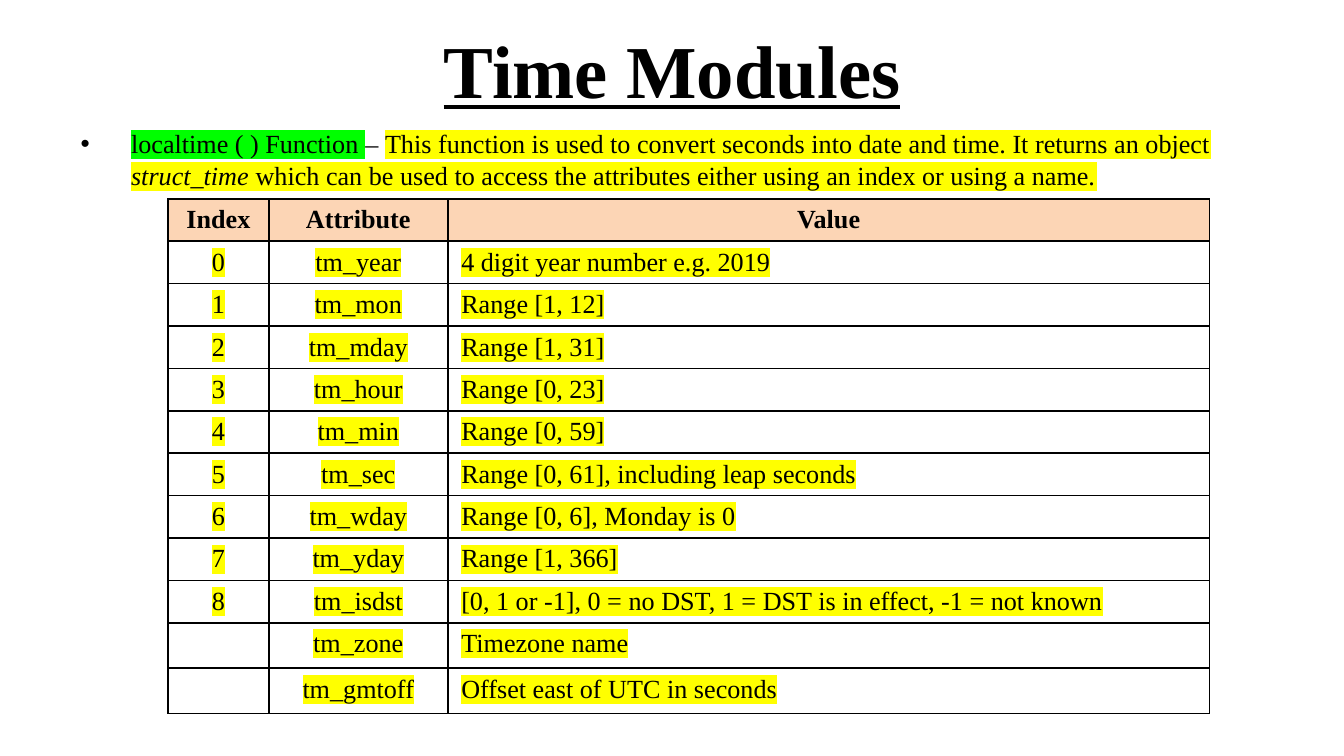
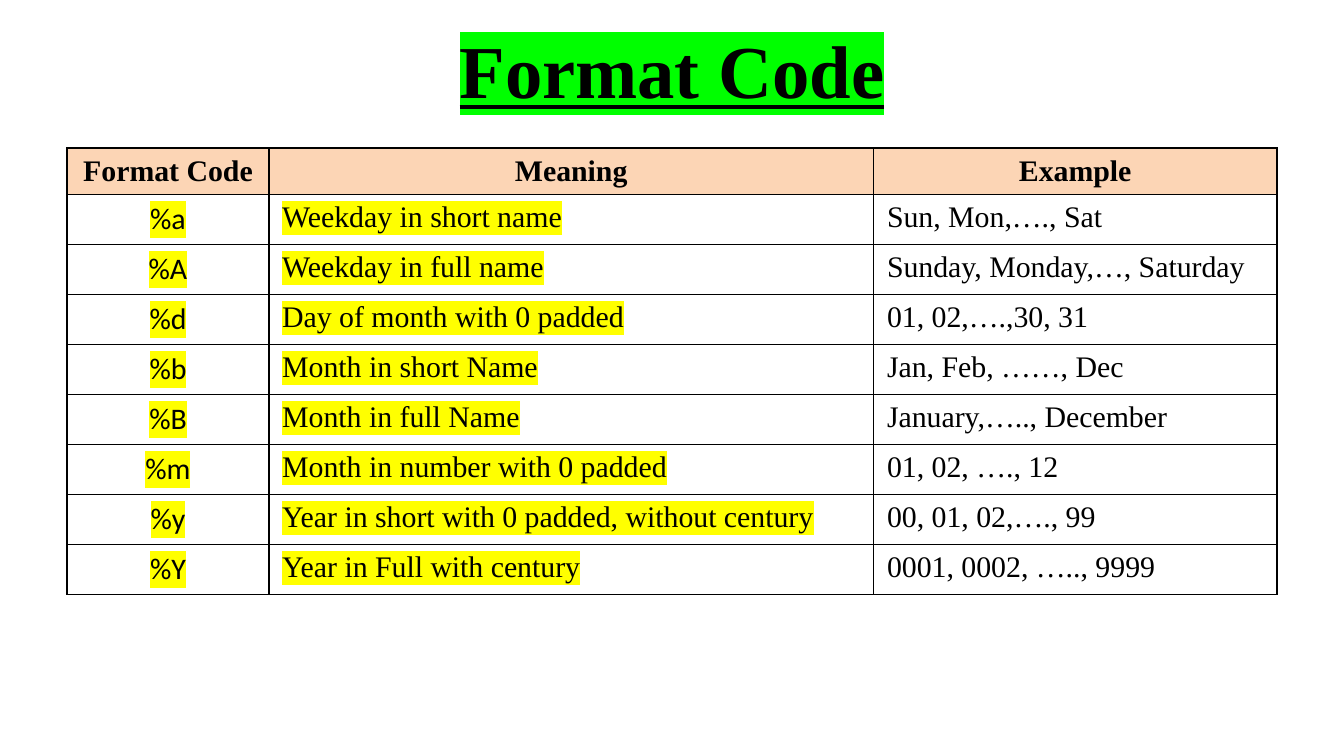
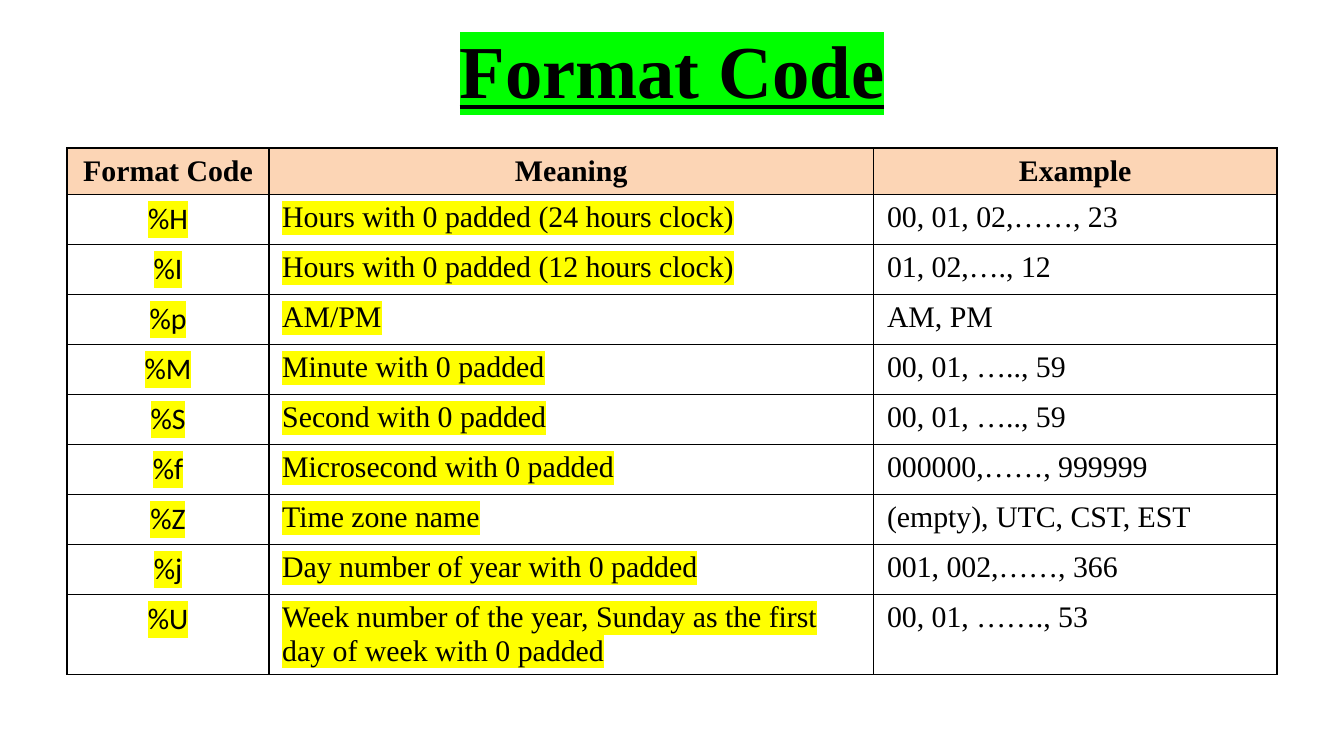
from lxml.etree import SubElement
from pptx import Presentation
from pptx.dml.color import RGBColor
from pptx.enum.text import MSO_ANCHOR as Anchor, MSO_AUTO_SIZE as AutoSize, PP_ALIGN as Align
from pptx.oxml.ns import qn
from pptx.util import Inches, Pt

SERIF, SANS = "Times New Roman", "Calibri"
BLACK, PEACH, GREEN, YELLOW = "000000", "FCD5B5", "00FF00", "FFFF00"
UNIT = 0.25


def grid(count):
    return Inches(count * UNIT)


def color(hex_code):
    return RGBColor.from_string(hex_code)


def solid(parent, hex_code):
    fill = SubElement(parent, qn("a:solidFill"))
    SubElement(fill, qn("a:srgbClr"), val=hex_code)


def write(paragraph, text, size=14, font=SERIF, bold=False, italic=False,
          underline=False, mark=None):
    if not text:
        SubElement(paragraph._p, qn("a:endParaRPr"), sz=str(size * 100))
        return
    run = paragraph.add_run()
    run.text = text
    style = run.font
    style.size, style.bold, style.italic = Pt(size), bold, italic
    style.underline = underline
    style.color.rgb = color(BLACK)
    style.name = font
    if mark:
        props = run._r.get_or_add_rPr()
        highlight = SubElement(props, qn("a:highlight"))
        SubElement(highlight, qn("a:srgbClr"), val=mark)
        props.find(qn("a:solidFill")).addnext(highlight)


class Deck:
    def __init__(self):
        self.show = Presentation()
        self.show.slide_width, self.show.slide_height = grid(40), grid(22.5)
        self.slide = None

    def new_slide(self, heading, layout="Title Only", mark=None):
        self.slide = self.show.slides.add_slide(self.show.slide_layouts.get_by_name(layout))
        frame = self.place(self.slide.shapes.title, 2, 0.16, 36, 3.76)
        frame.vertical_anchor = Anchor.MIDDLE
        line = frame.paragraphs[0]
        line.alignment = Align.CENTER
        write(line, heading, size=40, bold=True, underline=True, mark=mark)

    def place(self, holder, left, top, width, height):
        holder.left, holder.top = grid(left), grid(top)
        holder.width, holder.height = grid(width), grid(height)
        holder.text_frame.word_wrap = True
        holder.text_frame.auto_size = AutoSize.NONE
        return holder.text_frame

    def bullet(self, parts, *area):
        line = self.place(self.slide.placeholders[1], *area).paragraphs[0]
        for text, style in parts:
            write(line, text, **style)

    def table(self, headings, records, columns, left, top, widths, height, row, size):
        lines = [headings, *records]
        frame = self.slide.shapes.add_table(len(lines), len(headings), grid(left), grid(top),
                                            grid(sum(widths)), grid(height))
        table = frame.table
        table.first_row = table.horz_banding = False
        for column, width in zip(table.columns, widths):
            column.width = grid(width)
        for r, line in enumerate(lines):
            table.rows[r].height = grid(row)
            for c, text in enumerate(line):
                align, style = columns[c] if r else (Align.CENTER, {"bold": True})
                self.cell(table.cell(r, c), text, align, PEACH if r == 0 else None,
                          size=size, **style)
        frame.height = grid(height)

    def cell(self, cell, text, align, shade, **style):
        props = cell._tc.get_or_add_tcPr()
        for side in ("lnL", "lnR", "lnT", "lnB"):
            solid(SubElement(props, qn(f"a:{side}"), w=str(Pt(1))), BLACK)
        if shade:
            cell.fill.solid()
            cell.fill.fore_color.rgb = color(shade)
        else:
            cell.fill.background()
        line = cell.text_frame.paragraphs[0]
        line.alignment = align
        write(line, text, **style)


MARKED = {"mark": YELLOW}
ATTRIBUTE_COLUMNS = [(Align.CENTER, MARKED), (Align.CENTER, MARKED), (Align.LEFT, MARKED)]
CODE_COLUMNS = [(Align.CENTER, {"font": SANS, "mark": YELLOW}),
                (Align.LEFT, MARKED), (Align.LEFT, {})]

LOCALTIME = [
    ("localtime ( ) Function ", {"mark": GREEN}),
    ("– ", {}),
    ("This function is used to convert seconds into date and time. It returns an object ", MARKED),
    ("struct_time", {"italic": True, "mark": YELLOW}),
    (" which can be used to access the attributes either using an index or using a name.", MARKED),
]

ATTRIBUTES = [
    ("0", "tm_year", "4 digit year number e.g. 2019"),
    ("1", "tm_mon", "Range [1, 12]"),
    ("2", "tm_mday", "Range [1, 31]"),
    ("3", "tm_hour", "Range [0, 23]"),
    ("4", "tm_min", "Range [0, 59]"),
    ("5", "tm_sec", "Range [0, 61], including leap seconds"),
    ("6", "tm_wday", "Range [0, 6], Monday is 0"),
    ("7", "tm_yday", "Range [1, 366]"),
    ("8", "tm_isdst", "[0, 1 or -1], 0 = no DST, 1 = DST is in effect, -1 = not known"),
    ("", "tm_zone", "Timezone name"),
    ("", "tm_gmtoff", "Offset east of UTC in seconds"),
]

DATE_CODES = [
    ("%a", "Weekday in short name", "Sun, Mon,…., Sat"),
    ("%A", "Weekday in full name", "Sunday, Monday,…, Saturday"),
    ("%d", "Day of month with 0 padded", "01, 02,….,30, 31"),
    ("%b", "Month in short Name", "Jan, Feb, ……, Dec"),
    ("%B", "Month in full Name", "January,….., December"),
    ("%m", "Month in number with 0 padded", "01, 02, …., 12"),
    ("%y", "Year in short with 0 padded, without century", "00, 01, 02,…., 99"),
    ("%Y", "Year in Full with century", "0001, 0002, ….., 9999"),
]

TIME_CODES = [
    ("%H", "Hours with 0 padded (24 hours clock)", "00, 01, 02,……, 23"),
    ("%I", "Hours with 0 padded (12 hours clock)", "01, 02,…., 12"),
    ("%p", "AM/PM", "AM, PM"),
    ("%M", "Minute with 0 padded", "00, 01, ….., 59"),
    ("%S", "Second with 0 padded", "00, 01, ….., 59"),
    ("%f", "Microsecond with 0 padded", "000000,……, 999999"),
    ("%Z", "Time zone name", "(empty), UTC, CST, EST"),
    ("%j", "Day number of year with 0 padded", "001, 002,……, 366"),
    ("%U", "Week number of the year, Sunday as the first day of week with 0 padded",
     "00, 01, ……., 53"),
]


def main():
    deck = Deck()
    deck.new_slide("Time Modules", layout="Title and Content")
    deck.bullet(LOCALTIME, 2, 3.6, 36, 5.32)
    deck.table(("Index", "Attribute", "Value"), ATTRIBUTES, ATTRIBUTE_COLUMNS,
               left=5, top=5.92, widths=(3, 5.33, 22.67), height=16, row=1.12, size=14)
    for codes, height in ((DATE_CODES, 13.2), (TIME_CODES, 15.72)):
        deck.new_slide("Format Code", mark=GREEN)
        deck.table(("Format Code", "Meaning", "Example"), codes, CODE_COLUMNS,
                   left=2, top=4.4, widths=(6, 18, 12), height=height, row=1, size=16)
    deck.show.save("out.pptx")


if __name__ == "__main__":
    main()
